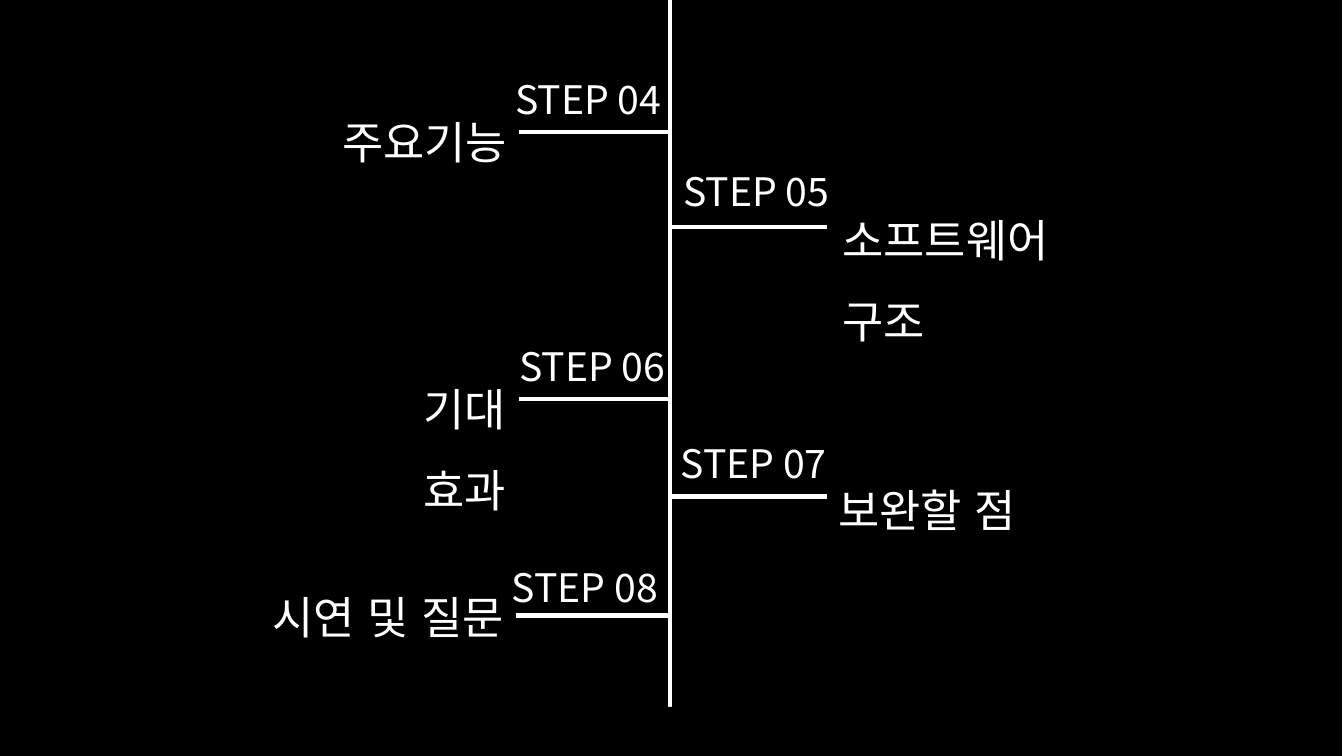
import pptx
import pptx.dml.color
import pptx.enum.lang
import pptx.enum.shapes
import pptx.enum.text
import pptx.oxml.ns
import pptx.util
from collections import namedtuple
from lxml import etree

COLUMNS, ROWS = 100, 56.25
CELL = pptx.util.Inches(0.1)
FONT = "Noto Sans CJK KR"
BLACK, WHITE = "000000", "FFFFFF"
LEFT, RIGHT = pptx.enum.text.PP_ALIGN.LEFT, pptx.enum.text.PP_ALIGN.RIGHT

Box = namedtuple("Box", "left top width height")
Caption = namedtuple("Caption", "text box align")


def cells(count):
    """Turn a number of grid cells into a length."""
    return pptx.util.Emu(round(count * CELL))


def colour(hex_value):
    """Turn a hex string into a colour."""
    return pptx.dml.color.RGBColor.from_string(hex_value)


def add_panel(slide, box):
    """Place a plain black rectangle in the box."""
    panel = slide.shapes.add_shape(
        pptx.enum.shapes.MSO_SHAPE.RECTANGLE, *map(cells, box))
    panel.shadow.inherit = False
    panel.fill.solid()
    panel.fill.fore_color.rgb = colour(BLACK)
    panel.line.fill.background()
    return panel


def add_rule(slide, start, end):
    """Draw a straight white line between two grid points."""
    rule = slide.shapes.add_connector(
        pptx.enum.shapes.MSO_CONNECTOR.STRAIGHT, *map(cells, start + end))
    rule.line.color.rgb = colour(WHITE)
    rule.line.width = pptx.util.Pt(2.25)
    etree.SubElement(rule._element.spPr, pptx.oxml.ns.qn("a:effectLst"))
    return rule


def add_caption(slide, box, caption, size, spacing):
    """Place white text at an offset from the box's top left corner."""
    place = caption.box
    frame = slide.shapes.add_textbox(*map(cells, (
        box.left + place.left, box.top + place.top,
        place.width, place.height))).text_frame
    frame.word_wrap = True
    frame.auto_size = pptx.enum.text.MSO_AUTO_SIZE.SHAPE_TO_FIT_TEXT
    frame.text = caption.text
    paragraph = frame.paragraphs[0]
    paragraph.alignment = caption.align
    paragraph.line_spacing = spacing
    font = paragraph.runs[0].font
    font.name = FONT
    font.size = pptx.util.Pt(size)
    font.color.rgb = colour(WHITE)
    font.language_id = pptx.enum.lang.MSO_LANGUAGE_ID.KOREAN
    east_asian = etree.SubElement(font._element, pptx.oxml.ns.qn("a:ea"))
    east_asian.set("typeface", FONT)


def add_spine(slide, box):
    """Draw the timeline down the middle of the box and trim its foot."""
    backdrop = add_panel(slide, box)
    middle = box.left + box.width / 2
    bottom = box.top + box.height
    spine = add_rule(slide, (middle, box.top), (middle, bottom))
    spine.begin_connect(backdrop, 0)
    spine.end_connect(backdrop, 2)
    add_panel(slide, Box(middle - 9.5, bottom - 3.65, 19.1, 3.7))


def add_step(slide, box, number, topic):
    """Draw a branch along the box's top edge with its number and topic."""
    add_rule(slide, (box.left, box.top), (box.left + box.width, box.top))
    add_caption(slide, box, topic, 24, 1.5)
    add_caption(slide, box, number, 21, 1.0)


def main():
    """Build the second half of the contents timeline."""
    deck = pptx.Presentation()
    deck.slide_width, deck.slide_height = cells(COLUMNS), cells(ROWS)
    slide = deck.slides.add_slide(deck.slide_layouts[6])
    add_spine(slide, Box(-0.15, 0, COLUMNS, ROWS))
    steps = [
        (Box(38.6, 9.8, 11.3, 0),
         Caption("STEP 04", Box(-2.1, -4.7, 13.7, 4.5), RIGHT),
         Caption("주요기능", Box(-15.1, -3.75, 15.2, 7.1), RIGHT)),
        (Box(50, 16.9, 11.5, 0),
         Caption("STEP 05", Box(-0.15, -4.95, 13.8, 4.5), LEFT),
         Caption("소프트웨어 구조", Box(11.7, -3.55, 23.7, 7.1), LEFT)),
        (Box(38.6, 29.7, 11.3, 0),
         Caption("STEP 06", Box(-1.9, -4.7, 13.8, 4.5), RIGHT),
         Caption("기대 효과", Box(-14.6, -3.8, 14.6, 6.5), RIGHT)),
        (Box(50, 36.95, 11.5, 0),
         Caption("STEP 07", Box(-0.35, -4.75, 13.8, 4.5), LEFT),
         Caption("보완할 점", Box(11.4, -3.5, 15.5, 7.1), LEFT)),
        (Box(38.4, 45.8, 11.5, 0),
         Caption("STEP 08", Box(-1.3, -4.4, 13.8, 4.5), LEFT),
         Caption("시연 및 질문", Box(-19.1, -4.4, 19.4, 7.1), LEFT)),
    ]
    for box, number, topic in steps:
        add_step(slide, box, number, topic)
    deck.save("out.pptx")


if __name__ == "__main__":
    main()
